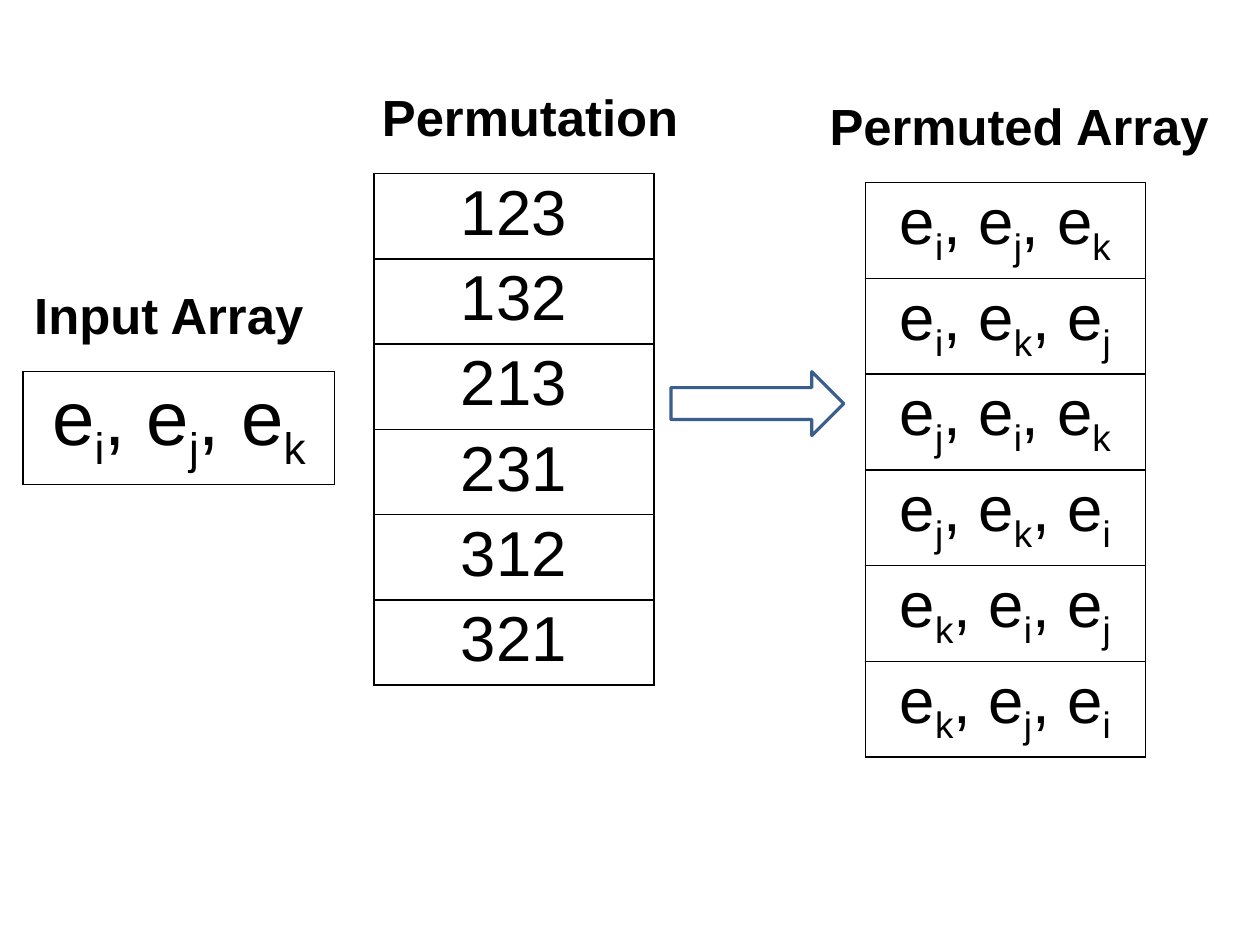
import itertools

import pptx
import pptx.dml.color
import pptx.enum.shapes
import pptx.enum.text
import pptx.oxml
import pptx.oxml.ns
import pptx.util
from pptx.util import Cm

COLORS = {"text": "000000", "border": "000000", "arrow": "3A5F8C"}
TITLE_RISE = 2.08  # distance from a title's top to its table's top
TITLE_HEIGHT = 1.63


def rgb(name):
    return pptx.dml.color.RGBColor.from_string(COLORS[name])


def add_run(paragraph, text, size, bold=False, subscript=False):
    run = paragraph.add_run()
    run.text = text
    formats = {"name": "Arial", "size": pptx.util.Pt(size), "bold": bold}
    for attribute, value in formats.items():
        setattr(run.font, attribute, value)
    run.font.color.rgb = rgb("text")
    if subscript:
        run._r.get_or_add_rPr().set("baseline", "-25000")


def add_elements(paragraph, indices, size):
    """Write e with each index as a subscript, separated by commas."""
    for position, index in enumerate(indices):
        add_run(paragraph, ", e" if position else "e", size)
        add_run(paragraph, index, size, subscript=True)


def add_digits(paragraph, digits, size):
    add_run(paragraph, "".join(digits), size)


def add_borders(cell):
    properties = cell._tc.get_or_add_tcPr()
    for position, side in enumerate(("lnL", "lnR", "lnT", "lnB")):
        properties.insert(position, pptx.oxml.parse_xml(
            f'<a:{side} {pptx.oxml.ns.nsdecls("a")} w="12700"><a:solidFill>'
            f'<a:srgbClr val="{COLORS["border"]}"/></a:solidFill></a:{side}>'))


def add_title(slide, text, left, top, width):
    box = slide.shapes.add_textbox(Cm(left), Cm(top), Cm(width), Cm(TITLE_HEIGHT))
    box.text_frame.word_wrap = True
    paragraph = box.text_frame.paragraphs[0]
    paragraph.alignment = pptx.enum.text.PP_ALIGN.CENTER
    add_run(paragraph, text, 32, bold=True)


def add_array_table(slide, box, rows, write_row, size):
    """Fill the box (left, top, width, row height) with one row per array."""
    left, top, width, row_height = box
    table = slide.shapes.add_table(
        len(rows), 1, Cm(left), Cm(top), Cm(width), Cm(row_height * len(rows))).table
    table.first_row = table.horz_banding = False
    cell_formats = {
        "margin_top": Cm(0.1),
        "margin_bottom": Cm(0.1),
        "vertical_anchor": pptx.enum.text.MSO_ANCHOR.TOP,
    }
    for number, row in enumerate(rows):
        table.rows[number].height = Cm(row_height)
        cell = table.cell(number, 0)
        for attribute, value in cell_formats.items():
            setattr(cell, attribute, value)
        cell.fill.background()
        add_borders(cell)
        paragraph = cell.text_frame.paragraphs[0]
        paragraph.alignment = pptx.enum.text.PP_ALIGN.CENTER
        write_row(paragraph, row, size)


def add_array_column(slide, title, title_span, box, rows, write_row, size):
    title_left, title_width = title_span
    add_title(slide, title, title_left, box[1] - TITLE_RISE, title_width)
    add_array_table(slide, box, rows, write_row, size)


def add_arrow(slide, box):
    arrow = slide.shapes.add_shape(
        pptx.enum.shapes.MSO_SHAPE.RIGHT_ARROW, *(Cm(length) for length in box))
    arrow.shadow.inherit = False
    arrow.fill.background()
    arrow.line.color.rgb = rgb("arrow")
    arrow.line.width = pptx.util.Pt(2)


presentation = pptx.Presentation()
presentation.slide_width = Cm(28)
presentation.slide_height = Cm(21)
slide = presentation.slides.add_slide(presentation.slide_layouts[6])

# Input, the six permutations, and the array each one gives
add_array_column(slide, "Input Array", (-0.08, 7.67), (0.51, 8.26, 6.93, 2.42),
                 ["ijk"], add_elements, 48)
add_array_column(slide, "Permutation", (7.95, 7.67), (8.31, 3.86, 6.22, 1.83),
                 list(itertools.permutations("123")), add_digits, 40)
add_array_column(slide, "Permuted Array", (17.93, 9.45), (19.23, 4.06, 6.22, 2.06),
                 list(itertools.permutations("ijk")), add_elements, 40)

# Arrow from permutations to permuted arrays
add_arrow(slide, (14.91, 8.26, 3.84, 1.42))

presentation.save("out.pptx")
